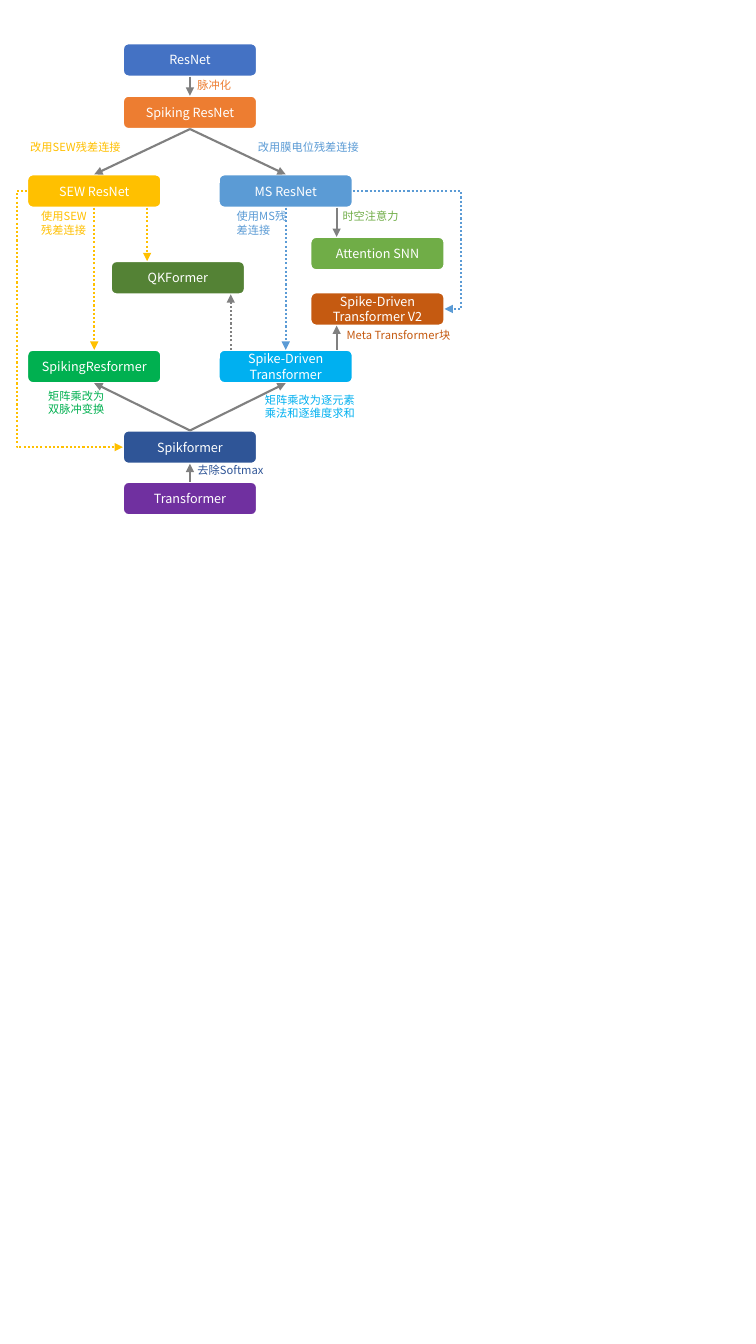
from lxml import etree
from pptx import Presentation
from pptx import util as u
from pptx.dml.color import RGBColor
from pptx.enum import dml, shapes, text
from pptx.oxml.ns import qn

COLUMNS, ROWS = 75, 133.3
BOX_WIDTH, BOX_HEIGHT = 13.3, 3.3
GRAY, GOLD, BLUE = "808080", "FFC000", "5B9BD5"

LEFT, CENTER, RIGHT, FAR_RIGHT = 2.7, 12.2, 21.7, 30.8
BOXES = {
    "Attention SNN": (FAR_RIGHT, 23.5, "70AD47"),
    "Spiking ResNet": (CENTER, 9.5, "ED7D31"),
    "ResNet": (CENTER, 4.3, "4472C4"),
    "Transformer": (CENTER, 47.8, "7030A0"),
    "Spikformer": (CENTER, 42.7, "2F5597"),
    "MS ResNet": (RIGHT, 17.3, BLUE),
    "Spike-Driven Transformer": (RIGHT, 34.7, "00B0F0"),
    "Spike-Driven Transformer V2": (FAR_RIGHT, 29, "C55A11"),
    "SEW ResNet": (LEFT, 17.3, GOLD),
    "SpikingResformer": (LEFT, 34.7, "00B050"),
    "QKFormer": (11, 25.9, "548235"),
}
ARROWS = [
    ("ResNet", "Spiking ResNet", GRAY, False, None),
    ("Spiking ResNet", "SEW ResNet", GRAY, False, None),
    ("Spiking ResNet", "MS ResNet", GRAY, False, None),
    ("Transformer", "Spikformer", GRAY, False, None),
    ("Spikformer", "SpikingResformer", GRAY, False, None),
    ("Spikformer", "Spike-Driven Transformer", GRAY, False, None),
    ("SEW ResNet", "SpikingResformer", GOLD, True, None),
    ("MS ResNet", "Spike-Driven Transformer", BLUE, True, None),
    ("MS ResNet", "Attention SNN", GRAY, False, 33.4),
    ("Spike-Driven Transformer", "QKFormer", GRAY, True, 22.9),
    ("Spike-Driven Transformer", "Spike-Driven Transformer V2", GRAY, False, 33.4),
    ("SEW ResNet", "QKFormer", GOLD, True, 14.6),
]
LABELS = [
    ("脉冲化", 18.6, 7.3, 6.3, 2.4, "ED7D31"),
    ("改用SEW残差连接", 2, 13.4, 12.2, 2.4, GOLD),
    ("改用膜电位残差连接", 24.6, 13.4, 13.3, 2.4, BLUE),
    ("时空注意力", 33, 20.3, 13.3, 2.4, "70AD47"),
    ("去除Softmax", 18.6, 45.5, 13.3, 2.4, "2F5597"),
    ("矩阵乘改为逐元素乘法和逐维度求和", 25.3, 38.5, 11.7, 3.7, "00B0F0"),
    ("矩阵乘改为双脉冲变换", 3.8, 38.1, 8.4, 3.7, "00B050"),
    ("使用SEW残差连接", 3.1, 20.3, 7.3, 3.7, GOLD),
    ("使用MS残差连接", 22.5, 20.3, 7.1, 3.7, BLUE),
    ("Meta Transformer块", 33.4, 32.1, 13.3, 2.4, "C55A11"),
]


def color(value):
    """Turn a hex string into a colour."""
    return RGBColor.from_string(value)


class Diagram:
    """Draw styled boxes, labels and arrows on one slide grid."""

    font = "Noto Sans CJK SC"
    line_width = u.Pt(1.5)

    def __init__(self, presentation):
        self.column = presentation.slide_width / COLUMNS
        self.row = presentation.slide_height / ROWS
        self.slide = presentation.slides.add_slide(presentation.slide_layouts[6])

    def place(self, *lengths):
        """Convert alternating columns and rows to slide lengths."""
        return [round(n * (self.row if i % 2 else self.column)) for i, n in enumerate(lengths)]

    def set_words(self, shape, words, size, hex_color):
        """Set and format the single paragraph of a shape."""
        frame = shape.text_frame
        frame.text = words
        frame.word_wrap = True
        run = frame.paragraphs[0].runs[0]
        run.font.size = u.Pt(size)
        run.font.name = self.font
        run.font.color.rgb = color(hex_color)
        etree.SubElement(run.font._element, qn("a:ea"), typeface=self.font)
        return frame

    def box(self, words, left, top, fill):
        """Add a rounded box with centred white text."""
        shape = self.slide.shapes.add_shape(
            shapes.MSO_SHAPE.ROUNDED_RECTANGLE, *self.place(left, top, BOX_WIDTH, BOX_HEIGHT))
        shape.shadow.inherit = False
        shape.fill.solid()
        shape.fill.fore_color.rgb = color(fill)
        shape.line.color.rgb = color("FFFFFF")
        shape.line.width = self.line_width
        frame = self.set_words(shape, words, 9, "FFFFFF")
        frame.vertical_anchor = text.MSO_ANCHOR.MIDDLE
        frame.paragraphs[0].alignment = text.PP_ALIGN.CENTER

    def label(self, words, left, top, width, height, hex_color):
        """Add a coloured arrow label."""
        shape = self.slide.shapes.add_textbox(*self.place(left, top, width, height))
        frame = self.set_words(shape, words, 8, hex_color)
        frame.auto_size = text.MSO_AUTO_SIZE.SHAPE_TO_FIT_TEXT

    def arrow(self, start, end, hex_color, dotted, bend=None):
        """Add an arrow, bent at a share of its width when given."""
        kind = shapes.MSO_CONNECTOR.STRAIGHT if bend is None else shapes.MSO_CONNECTOR.ELBOW
        connector = self.slide.shapes.add_connector(kind, *self.place(*start, *end))
        line = connector.line
        line.color.rgb = color(hex_color)
        line.width = self.line_width
        if dotted:
            line.dash_style = dml.MSO_LINE.ROUND_DOT
        properties = connector._element.spPr
        etree.SubElement(properties.find(qn("a:ln")), qn("a:tailEnd"), type="triangle")
        etree.SubElement(properties, qn("a:effectLst"))
        if bend is not None:
            guides = properties.find(qn("a:prstGeom")).find(qn("a:avLst"))
            etree.SubElement(guides, qn("a:gd"), name="adj1", fmla=f"val {round(bend * 100000)}")

    def link(self, source, target, hex_color, dotted, x):
        """Join facing box edges, at their centres unless x is given."""
        (from_left, from_top, _), (to_left, to_top, _) = BOXES[source], BOXES[target]
        down = from_top < to_top
        start_x, end_x = (left + BOX_WIDTH / 2 if x is None else x for left in (from_left, to_left))
        start_y = from_top + BOX_HEIGHT * down
        end_y = to_top + BOX_HEIGHT * (not down)
        self.arrow((start_x, start_y), (end_x, end_y), hex_color, dotted)

    def detour(self, source, target, hex_color, side, bend):
        """Join the same side (0 left, 1 right) of two boxes by a bent arrow."""
        start, end = ((left + BOX_WIDTH * side, top + BOX_HEIGHT / 2)
                      for left, top, _ in (BOXES[source], BOXES[target]))
        self.arrow(start, end, hex_color, True, bend)


def main():
    """Build the family tree of spiking networks."""
    presentation = Presentation()
    presentation.slide_width, presentation.slide_height = u.Inches(7.5), u.Inches(13.33)
    diagram = Diagram(presentation)
    for name, place in BOXES.items():
        diagram.box(name, *place)
    for arrow in ARROWS:
        diagram.link(*arrow)
    diagram.detour("SEW ResNet", "Spikformer", GOLD, 0, -0.11)
    diagram.detour("MS ResNet", "Spike-Driven Transformer V2", BLUE, 1, 1.18)
    for label in LABELS:
        diagram.label(*label)
    presentation.save("out.pptx")


if __name__ == "__main__":
    main()
